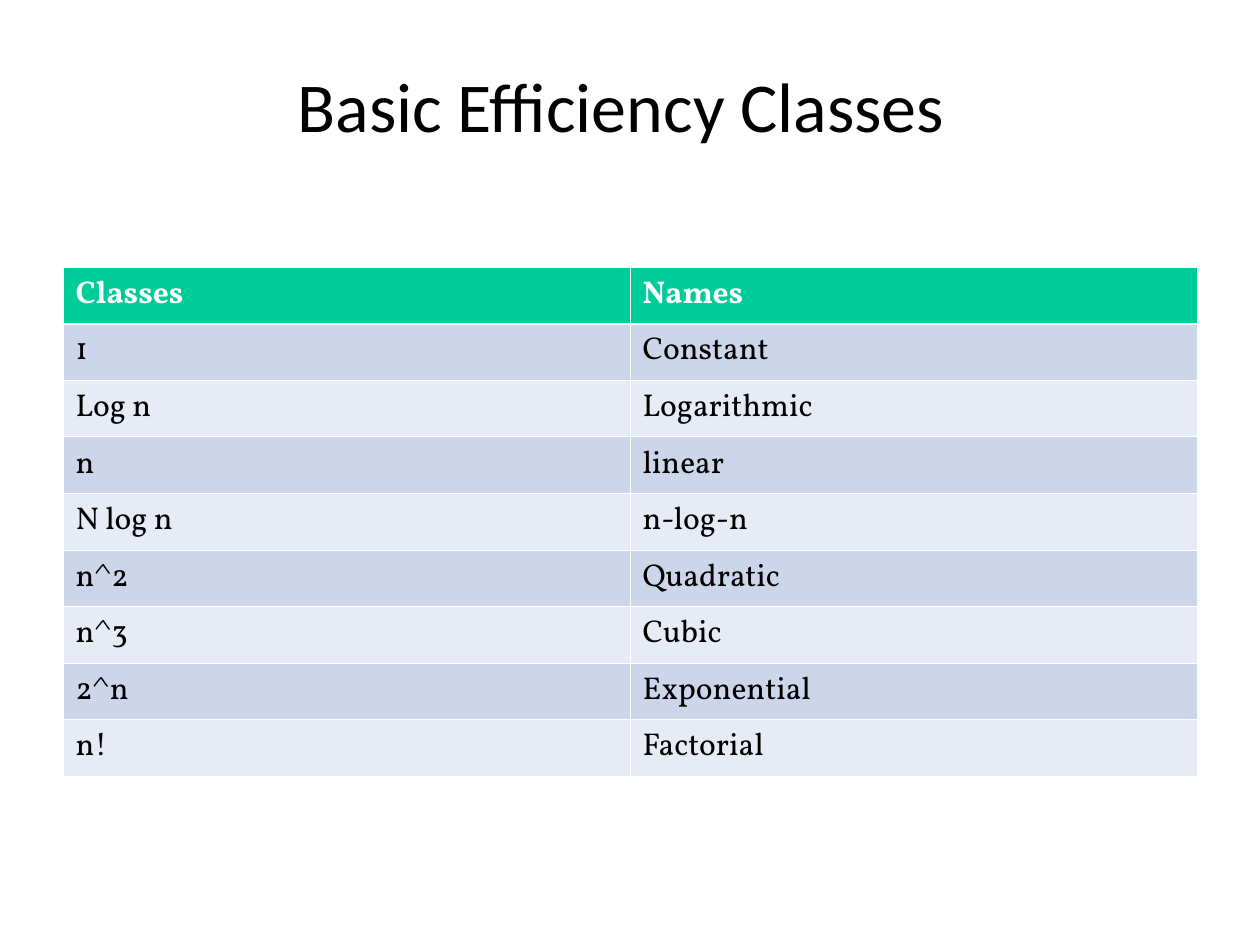
from lxml.etree import SubElement
from pptx import Presentation
from pptx.dml.color import RGBColor
from pptx.enum.text import MSO_ANCHOR, PP_ALIGN
from pptx.oxml.ns import qn
from pptx.util import Inches, Pt

WHITE = RGBColor(0xFF, 0xFF, 0xFF)
BLACK = RGBColor(0x00, 0x00, 0x00)
GREEN = RGBColor(0x00, 0xCC, 0x99)
BLUE = RGBColor(0xCC, 0xD5, 0xEA)
PALE_BLUE = RGBColor(0xE7, 0xEB, 0xF5)

EFFICIENCY_CLASSES = [
    ("Classes", "Names"),
    ("1", "Constant"),
    ("Log n", "Logarithmic"),
    ("n", "linear"),
    ("N log n", "n-log-n"),
    ("n^2", "Quadratic"),
    ("n^3", "Cubic"),
    ("2^n", "Exponential"),
    ("n!", "Factorial"),
]


def add_border(cell, side, width):
    """Add a white border; call in the order L, R, T, B and before the fill."""
    line = SubElement(cell._tc.get_or_add_tcPr(), qn(f"a:ln{side}"), w=str(Pt(width)))
    fill = SubElement(line, qn("a:solidFill"))
    SubElement(fill, qn("a:srgbClr"), val=str(WHITE))


prs = Presentation()
prs.slide_width, prs.slide_height = Inches(10), Inches(7.5)
slide = prs.slides.add_slide(prs.slide_layouts[5])

title = slide.shapes.title
title.left, title.top = Inches(0.5), Inches(0.3)
title.width, title.height = Inches(8.86), Inches(1.12)
title.text_frame.text = "Basic Efficiency Classes"
title.text_frame.vertical_anchor = MSO_ANCHOR.MIDDLE
heading = title.text_frame.paragraphs[0]
heading.alignment = PP_ALIGN.CENTER
heading.line_spacing = 0.97
heading.font.name = "Calibri"
heading.font.size = Pt(40)
heading.font.color.rgb = BLACK

row_count = len(EFFICIENCY_CLASSES)
table = slide.shapes.add_table(
    row_count, 2, Inches(0.5), Inches(2.12), Inches(9), Inches(0.41) * row_count
).table

for row, entries in enumerate(EFFICIENCY_CLASSES):
    is_header = row == 0
    for column, entry in enumerate(entries):
        cell = table.cell(row, column)
        add_border(cell, "L", 0.45)
        add_border(cell, "R", 0.45)
        add_border(cell, "T", 1.47 if row == 1 else 0.45)
        add_border(cell, "B", 1.47 if is_header else 0.45)
        cell.fill.solid()
        cell.fill.fore_color.rgb = GREEN if is_header else BLUE if row % 2 else PALE_BLUE
        cell.text = entry
        font = cell.text_frame.paragraphs[0].font
        font.name = "Vollkorn"
        font.size = Pt(18)
        font.bold = is_header
        font.color.rgb = WHITE if is_header else BLACK

prs.save("out.pptx")
